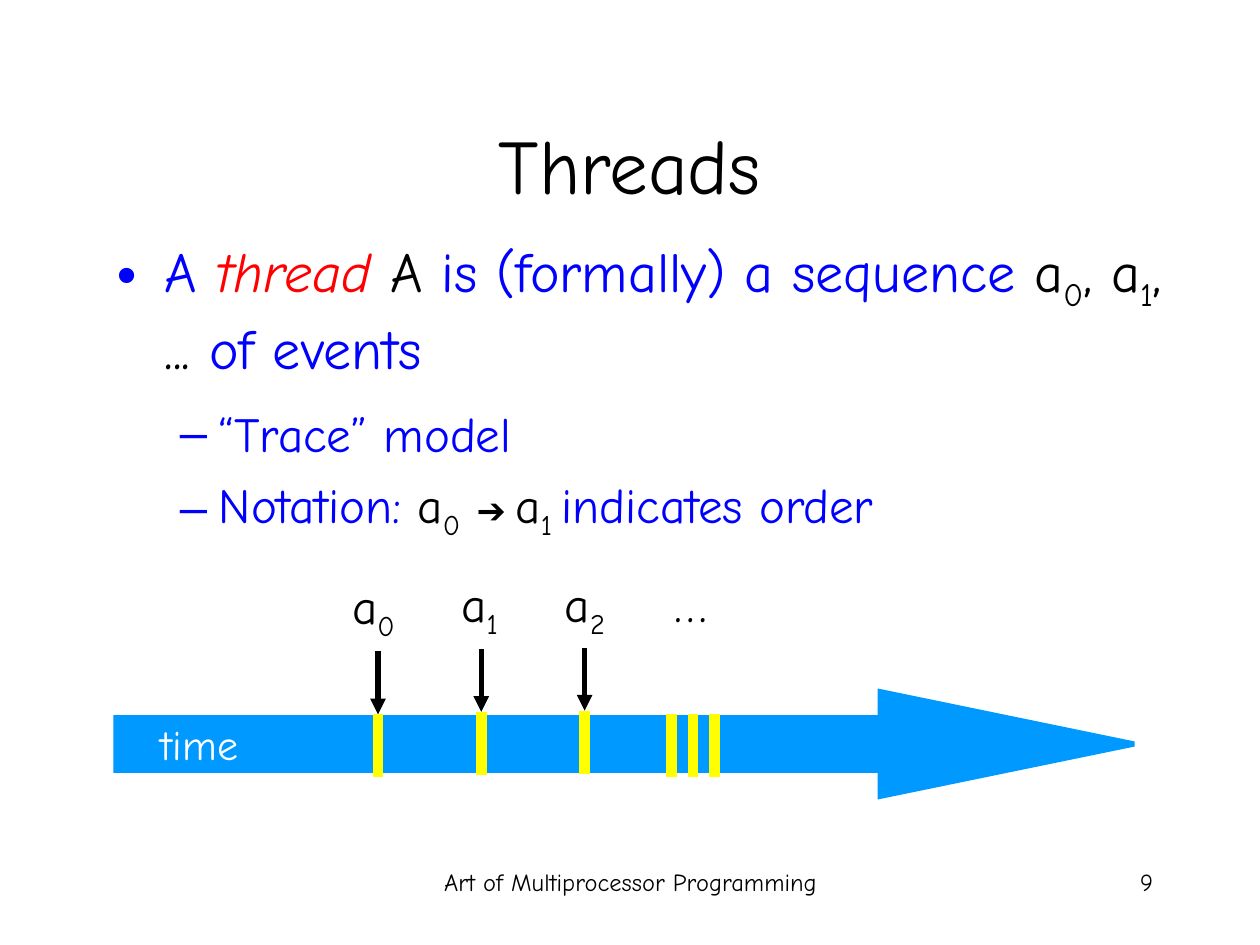
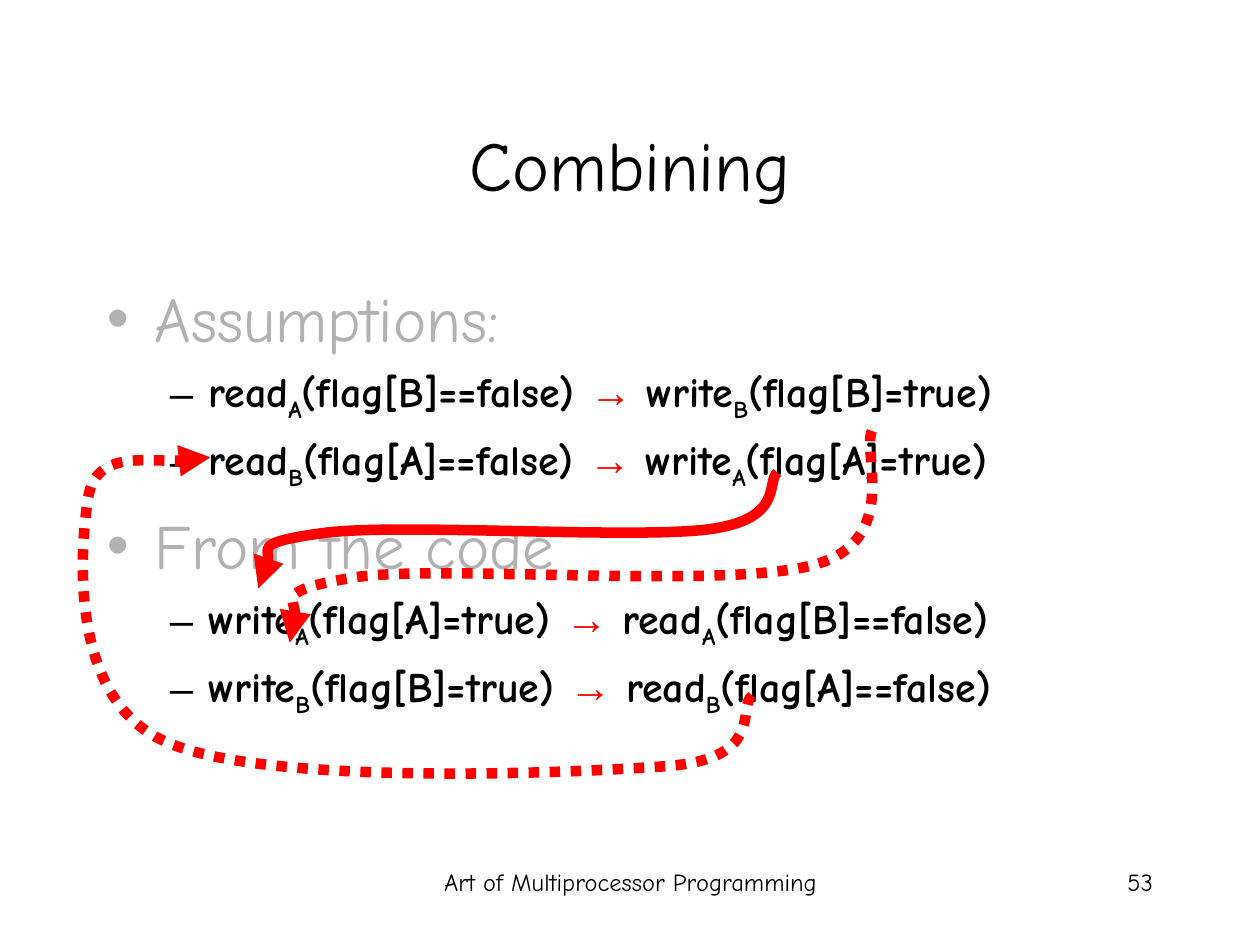
from lxml.etree import SubElement
from pptx import Presentation
from pptx.dml.color import RGBColor
from pptx.enum.dml import MSO_LINE
from pptx.enum.shapes import MSO_CONNECTOR, MSO_SHAPE
from pptx.enum.text import MSO_ANCHOR, MSO_AUTO_SIZE, PP_ALIGN
from pptx.oxml.ns import qn
from pptx.util import Inches, Pt

BLACK = RGBColor(0x00, 0x00, 0x00)
WHITE = RGBColor(0xFF, 0xFF, 0xFF)
BLUE = RGBColor(0x00, 0x00, 0xFF)
RED = RGBColor(0xFF, 0x00, 0x00)
GRAY = RGBColor(0xB2, 0xB2, 0xB2)
YELLOW = RGBColor(0xFF, 0xFF, 0x00)
TIME_BLUE = RGBColor(0x00, 0x99, 0xFF)

FONT, SYMBOL_FONT = "Comic Neue", "Arial"
BULLETS = [("•", 0.38, 0.38), ("–", 0.81, 0.31)]  # mark, margin, hanging


# Text helpers
def add_run(p, text, size, color=BLACK, font=FONT, bold=False, italic=False, sub=False):
    r = p.add_run()
    r.text = text
    r.font.name, r.font.size, r.font.color.rgb = font, Pt(size), color
    r.font.bold, r.font.italic = bold, italic
    if sub:
        r.font._element.set("baseline", "-25000")


def add_box(s, left, top, width, height, wrap=True, anchor=MSO_ANCHOR.TOP):
    tf = s.shapes.add_textbox(*map(Inches, (left, top, width, height))).text_frame
    tf.word_wrap = wrap
    tf.auto_size = MSO_AUTO_SIZE.NONE if wrap else MSO_AUTO_SIZE.SHAPE_TO_FIT_TEXT
    tf.vertical_anchor = anchor
    return tf


def add_label(s, box, text, size, color=BLACK, align=PP_ALIGN.RIGHT, subscript="", **box_style):
    p = add_box(s, *box, **box_style).paragraphs[0]
    p.alignment = align
    add_run(p, text, size, color)
    if subscript:
        add_run(p, subscript, size, color, sub=True)


def add_body(s, box, items):
    """Each item is level, bullet colour, size, space before and its runs."""
    tf = add_box(s, *box)
    for i, (level, color, size, space, runs) in enumerate(items):
        p = tf.add_paragraph() if i else tf.paragraphs[0]
        p.level = level
        if i:
            p.space_before = Pt(space)
        mark, margin, hanging = BULLETS[level]
        pPr = p._p.get_or_add_pPr()
        pPr.set("marL", str(Inches(margin)))
        pPr.set("indent", str(-Inches(hanging)))
        SubElement(SubElement(pPr, qn("a:buClr")), qn("a:srgbClr"), val=str(color))
        SubElement(pPr, qn("a:buFont"), typeface=SYMBOL_FONT)
        SubElement(pPr, qn("a:buChar"), char=mark)
        for text, style in runs:
            add_run(p, text, **{"size": size, **style})


# Line helpers
def style_line(sp, color, width, arrow=False):
    sp.line.color.rgb = color
    sp.line.width = Pt(width)
    if arrow:
        SubElement(sp.line._get_or_add_ln(), qn("a:tailEnd"), type="triangle")


def add_vertical(s, x, top, length, color, width, arrow=False):
    ends = map(Inches, (x, top, x, top + length))
    line = s.shapes.add_connector(MSO_CONNECTOR.STRAIGHT, *ends)
    style_line(line, color, width, arrow)
    SubElement(line._element.spPr, qn("a:effectLst"))


def add_curve(s, start, controls, dotted):
    """Draw a cubic curve: every three control points form one segment."""
    builder = s.shapes.build_freeform(*map(Inches, start))
    builder.add_line_segments([(Inches(x), Inches(y)) for x, y in controls], close=False)
    sp = builder.convert_to_shape()
    sp.shadow.inherit = False
    sp.fill.background()
    outline = sp._element.find(".//" + qn("a:path"))
    steps = outline.findall(qn("a:lnTo"))
    for i in range(0, len(steps), 3):
        cubic = SubElement(outline, qn("a:cubicBezTo"))
        for step in steps[i:i + 3]:
            cubic.append(step[0])
            outline.remove(step)
    sp.line.color.rgb = RED
    if dotted:
        sp.line.dash_style = MSO_LINE.ROUND_DOT
    style_line(sp, RED, 6, arrow=True)


# Shared frame: title, footer and slide number
def add_slide(prs, title, title_size, number):
    s = prs.slides.add_slide(prs.slide_layouts[6])
    add_label(s, (0.75, 0.67, 8.5, 1.25), title, title_size,
              align=PP_ALIGN.CENTER, anchor=MSO_ANCHOR.MIDDLE)
    add_label(s, (3.42, 6.83, 3.17, 0.5), "Art of Multiprocessor Programming", 14,
              align=PP_ALIGN.CENTER)
    add_label(s, (7.17, 6.83, 2.08, 0.5), str(number), 14)
    return s


# Timeline with its events
def add_timeline(s, left, top, width, height):
    sp = s.shapes.add_shape(MSO_SHAPE.RIGHT_ARROW, *map(Inches, (left, top, width, height)))
    sp.adjustments[0], sp.adjustments[1] = 0.5, 2.426
    sp.shadow.inherit = False
    sp.fill.solid()
    sp.fill.fore_color.rgb = TIME_BLUE
    style_line(sp, TIME_BLUE, 3)
    SubElement(sp.line._get_or_add_ln(), qn("a:miter"), lim="800000")
    add_label(s, (left + 0.07, top + 0.16, 1, 0.5), "time", 24, WHITE)

    mark = 0.5  # length of each pointer and event mark
    events = [(2.08, 0.18, 1.77, -0.97, 0.54),
              (2.9, 0.16, 2.64, -0.99, 0.49),
              (3.72, 0.15, 3.46, -0.99, 0.52)]
    for i, (x, y, label_x, label_y, label_width) in enumerate(events):
        add_vertical(s, left + x, top + y - mark, mark, BLACK, 3, arrow=True)
        add_vertical(s, left + x, top + y, mark, YELLOW, 6)
        add_label(s, (left + label_x, top + label_y, label_width, 0.63), "a", 28,
                  subscript=str(i), wrap=False)

    # Further events
    for i in range(3):
        add_vertical(s, left + 4.41 + i * 0.17, top + 0.18, mark, YELLOW, 6)
    add_label(s, (left + 4.33, top - 0.99, 0.46, 0.57), "…", 28, wrap=False)


def threads_slide(prs):
    s = add_slide(prs, "Threads", 44, 9)
    blue, black, sub = {"color": BLUE}, {}, {"sub": True}
    add_body(s, (0.83, 1.83, 8.5, 3.58), [
        (0, BLUE, 32, 8, [
            ("A ", blue), ("thread ", {"color": RED, "italic": True}), ("A", black),
            (" is (formally) a sequence ", blue), ("a", black), ("0", sub),
            (", a", black), ("1", sub), (", ... ", black), ("of events", blue)]),
        (1, BLUE, 28, 13, [("“Trace” model", blue)]),
        (1, BLUE, 28, 7, [
            ("Notation: ", blue), ("a", black), ("0", sub), (" ", black),
            ("➔ ", {"size": 20, "font": SYMBOL_FONT}), ("a", black), ("1 ", sub),
            ("indicates order", blue)]),
    ])
    add_timeline(s, 0.92, 5.49, 8.08, 0.83)


# Ordered pair of memory events
def event_runs(action, thread, condition):
    return [(action, {"bold": True}), (thread, {"bold": True, "sub": True}),
            (f"(flag{condition})", {"bold": True})]


def order_item(first, second):
    space = (" ", {"bold": True})
    arrow = ("→", {"font": SYMBOL_FONT, "color": RED, "bold": True})
    runs = event_runs(*first) + [space, arrow, space] + event_runs(*second)
    return 1, BLACK, 24, 6, runs


def heading_item(text):
    return 0, GRAY, 36, 9, [(text, {"color": GRAY})]


def combining_slide(prs):
    s = add_slide(prs, "Combining", 40, 53)
    read_a, read_b = ("read", "A", "[B]==false"), ("read", "B", "[A]==false")
    write_a, write_b = ("write", "A", "[A]=true"), ("write", "B", "[B]=true")
    add_body(s, (0.75, 2.17, 8.5, 4.5), [
        heading_item("Assumptions:"),
        order_item(read_a, write_b),
        order_item(read_b, write_a),
        heading_item("From the code"),
        order_item(write_a, read_a),
        order_item(write_b, read_b),
    ])

    # Curves that join the same event in both lists
    add_curve(s, (5.97, 5.52), [
        (5.85, 5.61), (6.08, 6.02), (5.3, 6.08),
        (4.52, 6.14), (2.06, 6.24), (1.3, 5.88),
        (0.53, 5.53), (0.64, 4.32), (0.7, 3.95),
        (0.76, 3.57), (1.47, 3.7), (1.67, 3.63)], dotted=True)
    add_curve(s, (6.92, 3.42), [
        (6.84, 3.59), (7.15, 4.29), (6.47, 4.48),
        (5.79, 4.68), (3.53, 4.48), (2.83, 4.58),
        (2.14, 4.69), (2.41, 4.99), (2.3, 5.1)], dotted=True)
    add_curve(s, (6.17, 3.75), [
        (6.08, 3.82), (6.23, 4.12), (5.63, 4.2),
        (5.03, 4.28), (3.16, 4.15), (2.57, 4.23),
        (1.97, 4.31), (2.16, 4.58), (2.05, 4.67)], dotted=False)


def main():
    prs = Presentation()
    prs.slide_width, prs.slide_height = Inches(10), Inches(7.5)
    threads_slide(prs)
    combining_slide(prs)
    prs.save("out.pptx")


if __name__ == "__main__":
    main()
